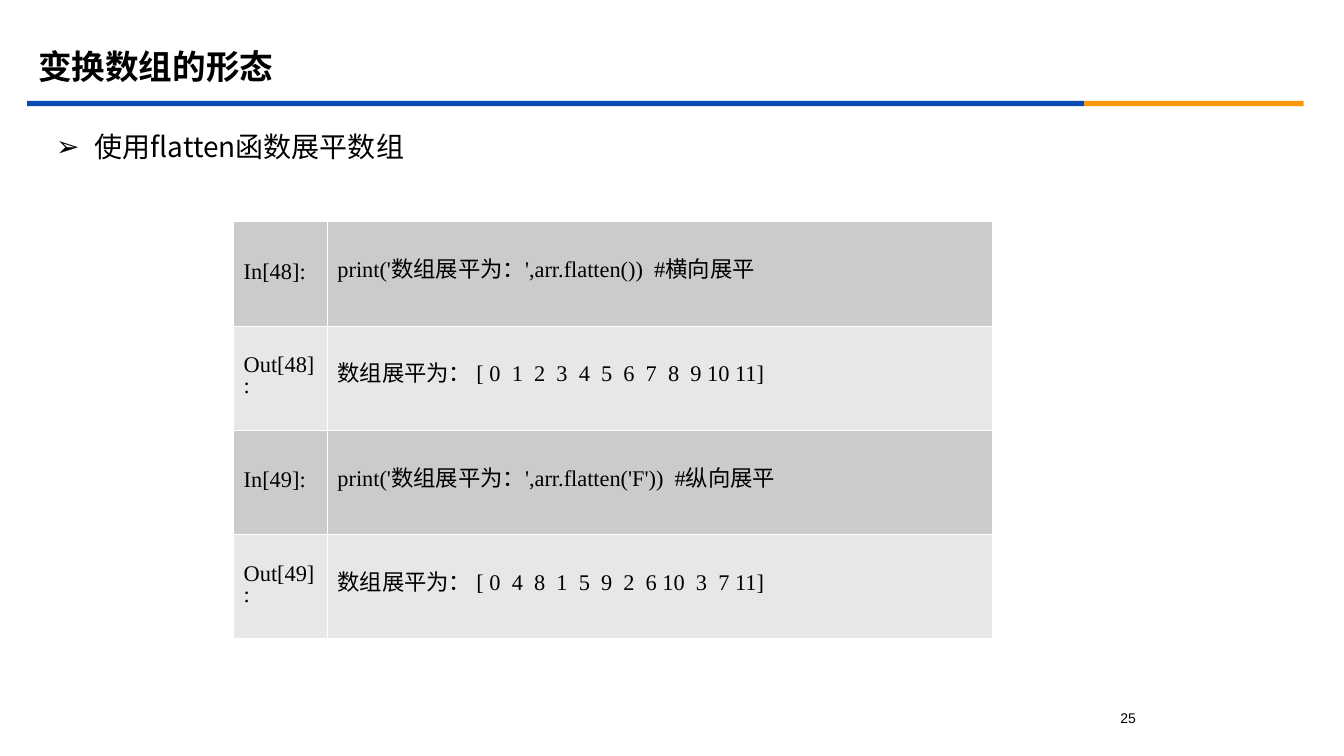
from lxml import etree
from pptx import Presentation
from pptx.dml.color import RGBColor
from pptx.enum.shapes import MSO_SHAPE
from pptx.enum.text import MSO_ANCHOR, PP_ALIGN
from pptx.oxml.ns import qn
from pptx.util import Pt

RECT = MSO_SHAPE.RECTANGLE
TOP, MIDDLE = MSO_ANCHOR.TOP, MSO_ANCHOR.MIDDLE
LEFT, CENTER, JUSTIFY = PP_ALIGN.LEFT, PP_ALIGN.CENTER, PP_ALIGN.JUSTIFY

TITLE = "变换数组的形态"
POINT = "使用flatten函数展平数组"
PAGE = "25"
CELLS = [
    ("In[48]:", "print('数组展平为：',arr.flatten())  #横向展平"),
    ("Out[48]:", "数组展平为： [ 0  1  2  3  4  5  6  7  8  9 10 11]"),
    ("In[49]:", "print('数组展平为：',arr.flatten('F'))  #纵向展平"),
    ("Out[49]:", "数组展平为： [ 0  4  8  1  5  9  2  6 10  3  7 11]"),
]
COLORS = {
    "text": "000000",
    "blue": "064BB2",
    "orange": "FB9708",
    "dark": "CBCBCB",
    "light": "E7E7E7",
    "edge": "FFFFFF",
}
CJK = "Noto Sans CJK SC"
BARS = [(19.4, 755.3, "blue"), (774.7, 157, "orange")]
WIDTHS = (67, 475.2)
HEIGHT = 74.35


def rgb(name):
    return RGBColor.from_string(COLORS[name])


def style(para, face, size, align=LEFT, space=None, bold=False):
    para.alignment = align
    if space:
        para.line_spacing = space
    font = para.font
    font.name, font.size, font.bold = face, Pt(size), bold
    font.color.rgb = rgb("text")
    base = para._p.pPr.find(qn("a:defRPr"))
    base.find(qn("a:latin")).addnext(base.makeelement(qn("a:ea"), {"typeface": CJK}))


def add_text(slide, box, text, anchor=MIDDLE):
    frame = slide.shapes.add_textbox(*map(Pt, box)).text_frame
    frame.word_wrap = True
    frame.vertical_anchor = anchor
    frame.text = text
    return frame.paragraphs[0]


def add_bullet(para, mark, indent):
    props = para._p.get_or_add_pPr()
    props.set("marL", str(Pt(indent)))
    props.set("indent", str(-Pt(indent)))
    color = etree.SubElement(props, qn("a:buClr"))
    etree.SubElement(color, qn("a:srgbClr"), val=COLORS["text"])
    etree.SubElement(props, qn("a:buFont"), typeface="Arial")
    etree.SubElement(props, qn("a:buChar"), char=mark)


def add_edges(cell):
    props = cell._tc.get_or_add_tcPr()
    for i, side in enumerate("LRTB"):
        line = props.makeelement(qn("a:ln" + side), {"w": str(Pt(0.45))})
        fill = etree.SubElement(line, qn("a:solidFill"))
        etree.SubElement(fill, qn("a:srgbClr"), val=COLORS["edge"])
        props.insert(i, line)


def add_grid(slide):
    rows, cols = len(CELLS), len(WIDTHS)
    box = (167, 158.4, sum(WIDTHS), HEIGHT * rows)
    table = slide.shapes.add_table(rows, cols, *map(Pt, box)).table
    for col, width in zip(table.columns, WIDTHS):
        col.width = Pt(width)
    for r, texts in enumerate(CELLS):
        table.rows[r].height = Pt(HEIGHT)
        for c, text in enumerate(texts):
            cell = table.cell(r, c)
            cell.text = text
            cell.vertical_anchor = MIDDLE
            cell.fill.solid()
            cell.fill.fore_color.rgb = rgb("light" if r % 2 else "dark")
            add_edges(cell)
            style(cell.text_frame.paragraphs[0], "Times New Roman", 16, JUSTIFY, Pt(15))


def main():
    deck = Presentation()
    deck.slide_width, deck.slide_height = Pt(960.5), Pt(540)
    slide = deck.slides.add_slide(deck.slide_layouts[6])

    for left, width, color in BARS:
        bar = slide.shapes.add_shape(RECT, Pt(left), Pt(72), Pt(width), Pt(3.8))
        bar.shadow.inherit = False
        bar.fill.solid()
        bar.fill.fore_color.rgb = rgb(color)
        bar.line.fill.background()

    title = add_text(slide, (20.2, 28, 864, 41.8), TITLE)
    style(title, "Montserrat", 24, space=0.9, bold=True)
    point = add_text(slide, (33.1, 89.3, 874.8, 33.8), POINT)
    add_bullet(point, "➢", 27.4)
    style(point, CJK, 20, space=0.9)
    add_grid(slide)
    page = add_text(slide, (784, 503.3, 44.6, 18), PAGE, TOP)
    style(page, "Arial", 10, CENTER)

    deck.save("out.pptx")


if __name__ == "__main__":
    main()
